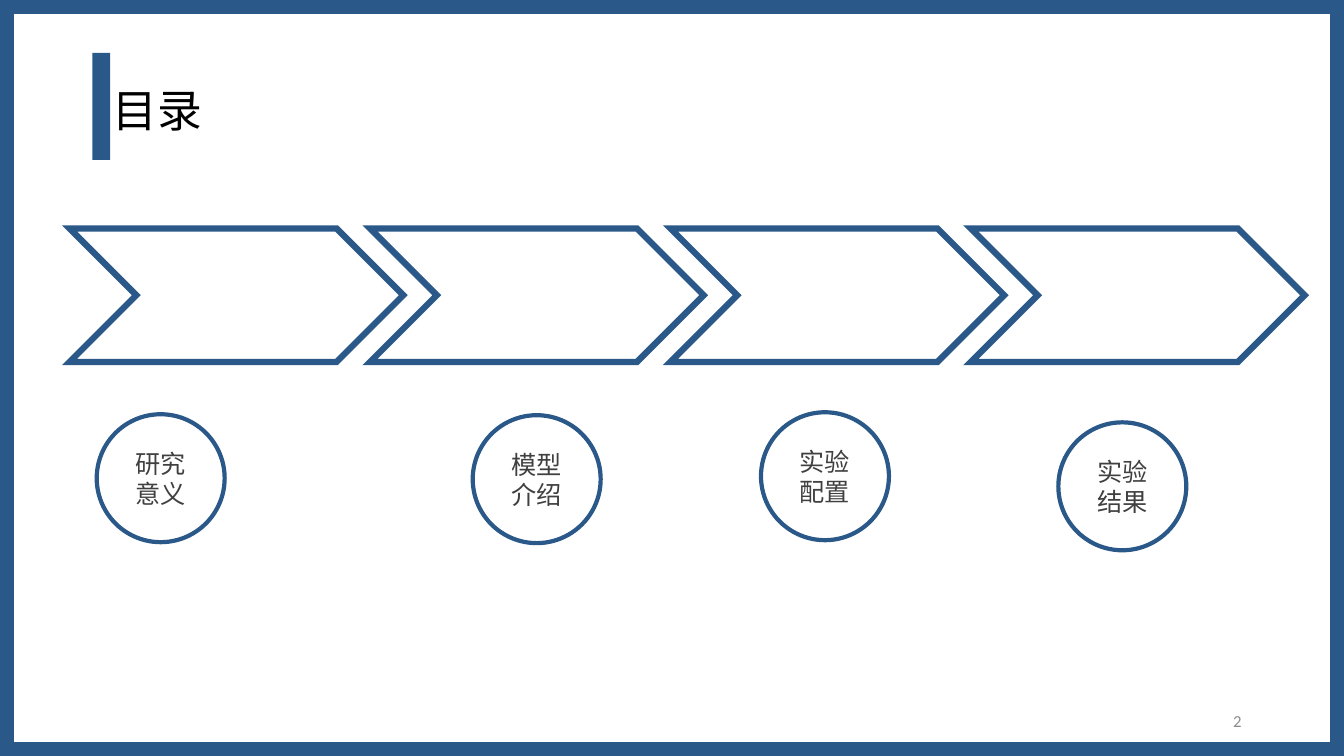
from lxml import etree
from pptx import Presentation
from pptx.dml.color import RGBColor
from pptx.enum import shapes, text
from pptx.oxml import ns
from pptx.util import Pt

TITLE = "目录"
PAGE_NUMBER = "2"
# Topic, left and top of its circle
TOPICS = [
    ("研究意义", 69.1, 295.9),
    ("模型介绍", 337.7, 296.6),
    ("实验配置", 543.6, 294.5),
    ("实验结果", 756, 301.7),
]

BLUE = RGBColor(0x2A, 0x59, 0x89)
BLACK = RGBColor(0, 0, 0)
DARK_GREY = RGBColor(0x40, 0x40, 0x40)
GREY = RGBColor(0x8C, 0x8C, 0x8C)
LATIN_FONT, CHINESE_FONT = "Calibri", "Noto Sans CJK SC"

WIDTH, HEIGHT = 960, 540
CHEVRON_LEFT, CHEVRON_TOP, CHEVRON_STEP = 49.7, 163.2, 214.6
CHEVRON_WIDTH, CHEVRON_HEIGHT = 238.4, 95.4
CIRCLE_SIZE = 91.4


def add_shape(page, kind, left, top, width, height, line_width=0):
    """Add a blue outline with sharp corners, or a blue solid if line_width is 0."""
    shape = page.shapes.add_shape(kind, Pt(left), Pt(top), Pt(width), Pt(height))
    shape.shadow.inherit = False
    if line_width:
        shape.fill.background()
        shape.line.color.rgb = BLUE
        shape.line.width = Pt(line_width)
        etree.SubElement(shape.line._get_or_add_ln(), ns.qn("a:miter"), lim="800000")
    else:
        shape.fill.solid()
        shape.fill.fore_color.rgb = BLUE
        shape.line.fill.background()
    return shape


def write(shape, words, size, color, font, align):
    frame = shape.text_frame
    frame.text = words
    frame.word_wrap = True
    frame.vertical_anchor = text.MSO_ANCHOR.MIDDLE
    para = frame.paragraphs[0]
    para.alignment = align
    span = para.runs[0]
    span.font.size = Pt(size)
    span.font.color.rgb = color
    span.font.name = font
    etree.SubElement(span.font._element, ns.qn("a:ea"), typeface=CHINESE_FONT)


def add_text(page, left, top, width, height, *style):
    box = page.shapes.add_textbox(Pt(left), Pt(top), Pt(width), Pt(height))
    write(box, *style)
    return box


def main():
    deck = Presentation()
    deck.slide_width, deck.slide_height = Pt(WIDTH), Pt(HEIGHT)
    page = deck.slides.add_slide(deck.slide_layouts[6])
    kinds, align = shapes.MSO_SHAPE, text.PP_ALIGN

    add_shape(page, kinds.RECTANGLE, 0, 0, WIDTH, HEIGHT, 20)
    add_shape(page, kinds.RECTANGLE, 66, 37.7, 12.8, 76.5)
    title = add_text(page, 66, 28.8, 828, 104.4,
                     TITLE, 32, BLACK, CHINESE_FONT, align.LEFT)
    title.text_frame.margin_left = Pt(14.4)
    title.text_frame.paragraphs[0].line_spacing = 0.9

    for index in range(len(TOPICS)):
        add_shape(page, kinds.CHEVRON, CHEVRON_LEFT + index * CHEVRON_STEP,
                  CHEVRON_TOP, CHEVRON_WIDTH, CHEVRON_HEIGHT, 4.5)
    for topic, left, top in TOPICS:
        circle = add_shape(page, kinds.OVAL, left, top, CIRCLE_SIZE, CIRCLE_SIZE, 3)
        write(circle, topic, 18, DARK_GREY, LATIN_FONT, align.CENTER)

    add_text(page, 678, 500.5, 216, 28.8,
             PAGE_NUMBER, 12, GREY, LATIN_FONT, align.RIGHT)
    deck.save("out.pptx")


if __name__ == "__main__":
    main()
